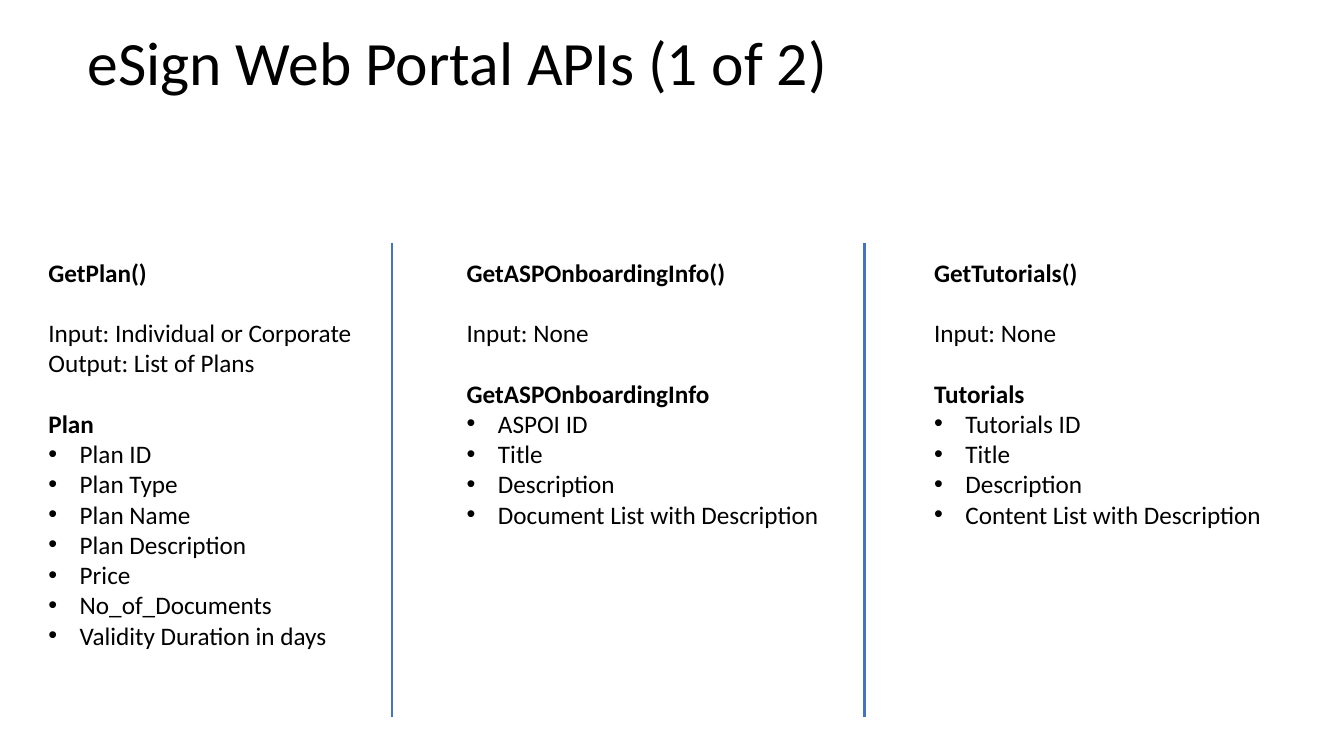
from dataclasses import dataclass

from lxml import etree
from pptx import Presentation
from pptx.dml.color import RGBColor
from pptx.enum.shapes import MSO_CONNECTOR
from pptx.enum.text import MSO_ANCHOR, MSO_AUTO_SIZE
from pptx.oxml.ns import qn
from pptx.util import Cm, Pt

STRAIGHT = MSO_CONNECTOR.STRAIGHT
MIDDLE = MSO_ANCHOR.MIDDLE
TOP = MSO_ANCHOR.TOP
FIT_SHAPE = MSO_AUTO_SIZE.SHAPE_TO_FIT_TEXT


@dataclass(frozen=True)
class Theme:
    font: str = "Calibri"
    ink: RGBColor = RGBColor(0x00, 0x00, 0x00)
    rule: RGBColor = RGBColor(0x44, 0x72, 0xC4)
    title_size: Pt = Pt(44)
    body_size: Pt = Pt(18)
    section_gap: Pt = Pt(21.6)
    rule_width: Pt = Pt(2)
    bullet_indent: Cm = Cm(0.79)


class ApiSlide:
    def __init__(self, slide, theme):
        self.slide = slide
        self.theme = theme

    def _frame(self, left, top, width, height, anchor):
        box = self.slide.shapes.add_textbox(Cm(left), Cm(top), Cm(width), Cm(height))
        box.text_frame.vertical_anchor = anchor
        return box.text_frame

    def _run(self, paragraph, text, size, bold=False):
        run = paragraph.add_run()
        run.text = text
        run.font.name = self.theme.font
        run.font.size = size
        run.font.bold = bold
        run.font.color.rgb = self.theme.ink

    def _bullet(self, paragraph):
        indent = self.theme.bullet_indent
        properties = paragraph._p.get_or_add_pPr()
        properties.set("marL", str(indent))
        properties.set("indent", str(-indent))
        etree.SubElement(properties, qn("a:buFont")).set("typeface", "Arial")
        etree.SubElement(properties, qn("a:buChar")).set("char", "•")

    def title(self, text, left, top, width, height):
        frame = self._frame(left, top, width, height, MIDDLE)
        frame.word_wrap = True
        heading = frame.paragraphs[0]
        heading.line_spacing = 0.9
        self._run(heading, text, self.theme.title_size)

    def api(self, call, signature, entity, fields, left, top, width, height):
        """Write a call, its inputs and outputs, and the fields of its entity."""
        frame = self._frame(left, top, width, height, TOP)
        frame.word_wrap = False
        frame.auto_size = FIT_SHAPE
        size = self.theme.body_size
        self._run(frame.paragraphs[0], call, size, bold=True)
        for index, line in enumerate([*signature, entity]):
            paragraph = frame.add_paragraph()
            if index == 0 or line == entity:
                paragraph.space_before = self.theme.section_gap
            self._run(paragraph, line, size, bold=line == entity)
        for field in fields:
            paragraph = frame.add_paragraph()
            self._bullet(paragraph)
            self._run(paragraph, field, size)

    def divider(self, x, top, bottom):
        rule = self.slide.shapes.add_connector(STRAIGHT, Cm(x), Cm(top), Cm(x), Cm(bottom))
        rule.line.color.rgb = self.theme.rule
        rule.line.width = self.theme.rule_width
        etree.SubElement(rule._element.spPr, qn("a:effectLst"))


# Each entry: call, signature, entity, fields, left, width, height
APIS = [
    ("GetPlan()", ["Input: Individual or Corporate", "Output: List of Plans"], "Plan",
     ["Plan ID", "Plan Type", "Plan Name", "Plan Description", "Price",
      "No_of_Documents", "Validity Duration in days"], 0.97, 8.26, 10.26),
    ("GetASPOnboardingInfo()", ["Input: None"], "GetASPOnboardingInfo",
     ["ASPOI ID", "Title", "Description", "Document List with Description"],
     11.51, 9.5, 7.19),
    ("GetTutorials()", ["Input: None"], "Tutorials",
     ["Tutorials ID", "Title", "Description", "Content List with Description"],
     23.29, 8.86, 7.19),
]
API_TOP = 6.35
DIVIDERS = [9.88, 21.79]


def main():
    deck = Presentation()
    deck.slide_width, deck.slide_height = Cm(33.87), Cm(19.05)
    page = ApiSlide(deck.slides.add_slide(deck.slide_layouts[6]), Theme())
    page.title("eSign Web Portal APIs (1 of 2)", 1.96, 0.48, 29.21, 2.36)
    for call, signature, entity, fields, left, width, height in APIS:
        page.api(call, signature, entity, fields, left, API_TOP, width, height)
    for x in DIVIDERS:
        page.divider(x, top=6.12, bottom=18.06)
    deck.save("out.pptx")


if __name__ == "__main__":
    main()
